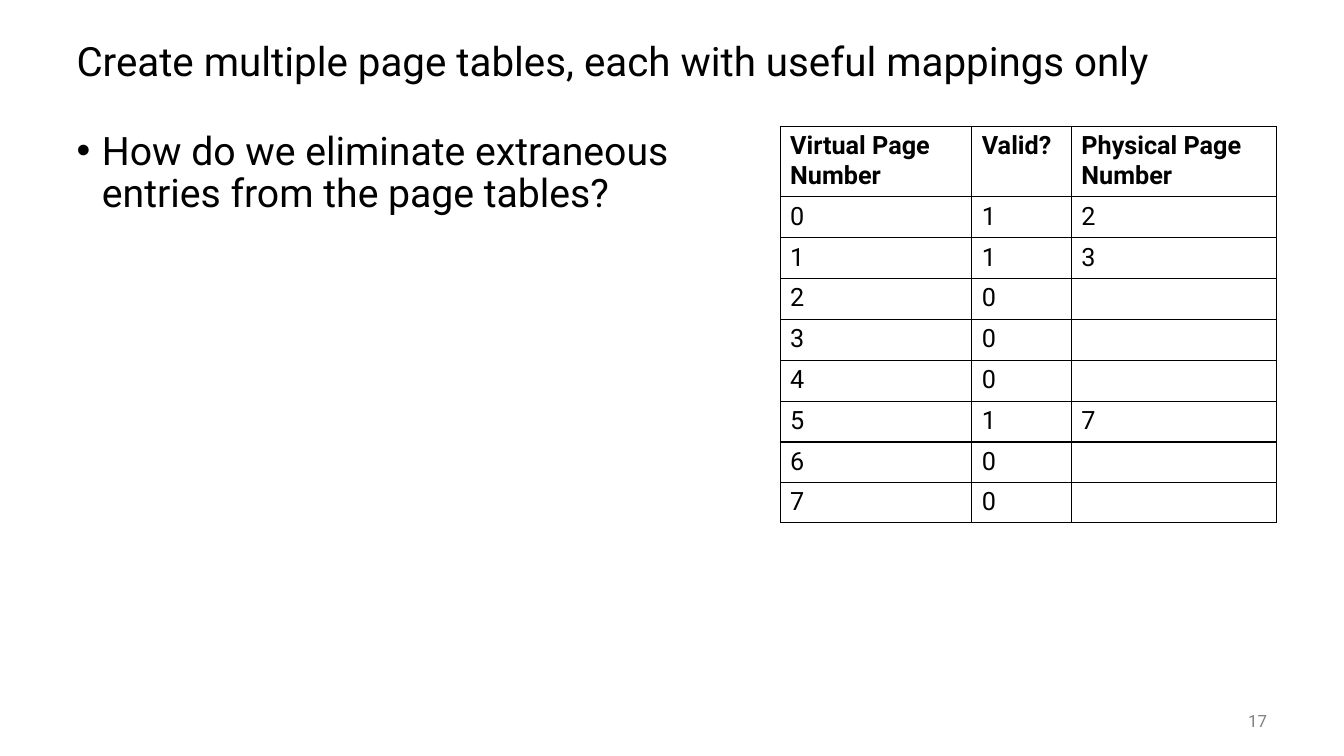
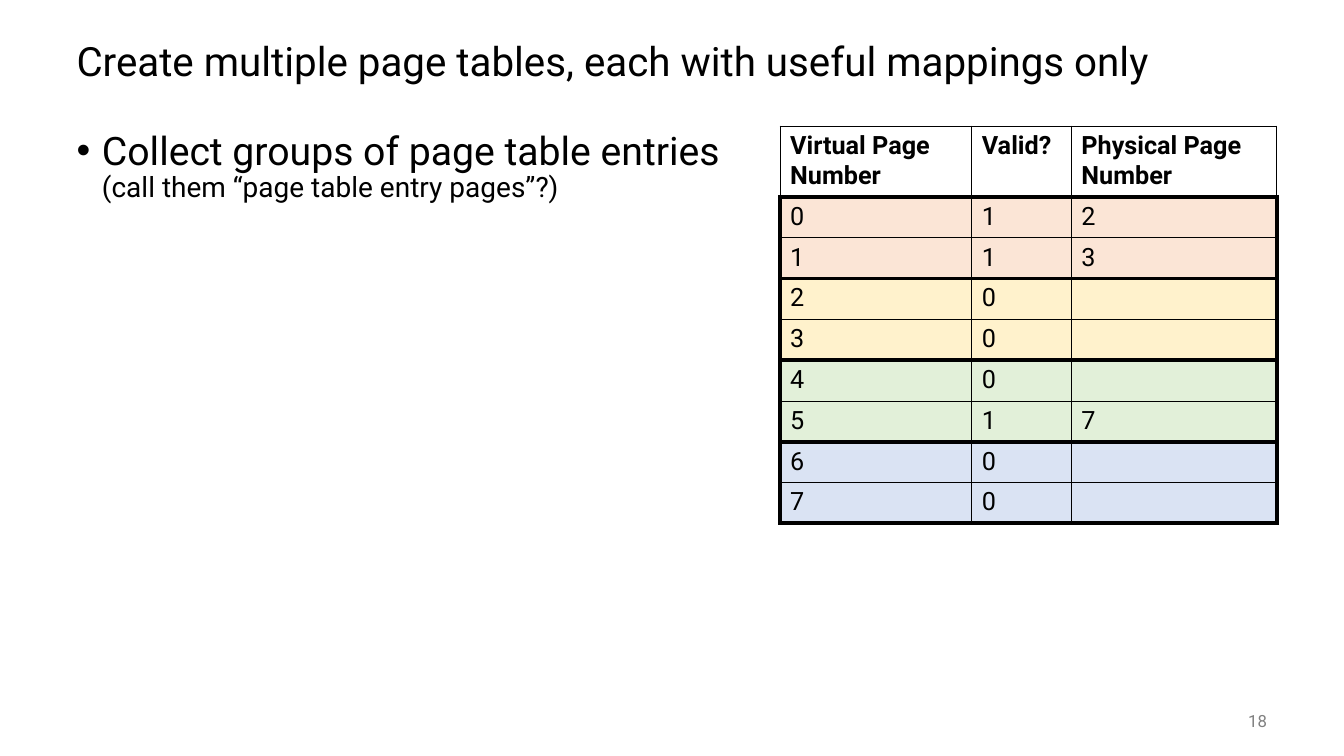
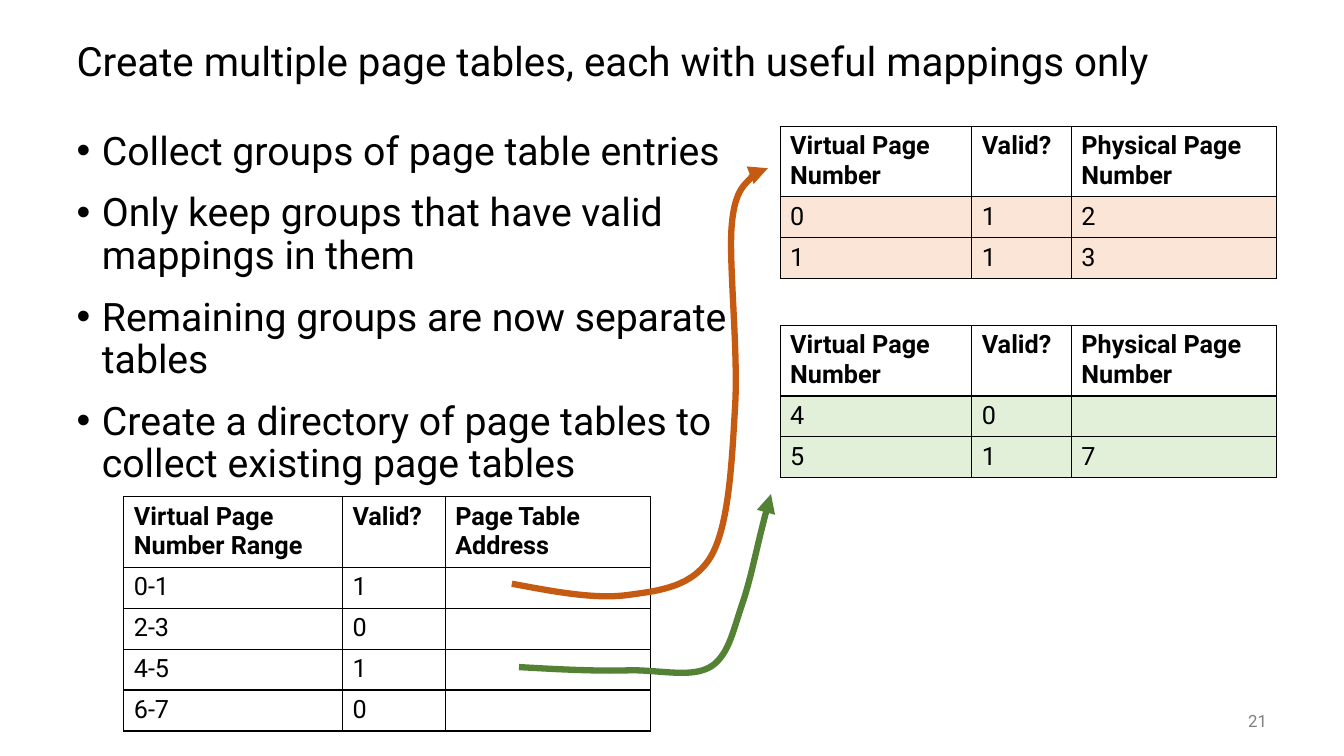
from dataclasses import dataclass

from lxml import etree
from pptx import Presentation
from pptx.dml.color import RGBColor
from pptx.enum.text import MSO_ANCHOR, PP_ALIGN
from pptx.oxml.ns import qn
from pptx.util import Cm, Pt

MIDDLE = MSO_ANCHOR.MIDDLE
TOP = MSO_ANCHOR.TOP
LEFT = PP_ALIGN.LEFT
RIGHT = PP_ALIGN.RIGHT


@dataclass(frozen=True)
class Theme:
    font: str = "Roboto"
    ink: str = "000000"
    muted: str = "808080"
    white: str = "FFFFFF"
    peach: str = "FBE5D6"
    yellow: str = "FFF2CC"
    green: str = "E2F0D9"
    blue: str = "DAE3F3"
    orange_arrow: str = "C55A11"
    green_arrow: str = "548235"
    title_size: float = 28.8
    body_size: float = 28
    note_size: float = 20
    table_size: float = 18
    number_size: float = 12
    thin: float = 1
    thick: float = 3
    arrow_width: float = 4.5


THEME = Theme()
TITLE = "Create multiple page tables, each with useful mappings only"
MARGIN, TABLE_LEFT, CONTENT_TOP = 1.68, 19.66, 3.18
BODY_WIDTH = 17.6
HEADER_HEIGHT, ROW_HEIGHT, COMPACT_HEIGHT = 1.75, 1.03, 1

PAGE_HEADER = ("Virtual Page Number", "Valid?", "Physical Page Number")
PAGE_COLUMNS = (4.83, 2.51, 5.18)
PAGE_ENTRIES = [
    ("0", "1", "2"), ("1", "1", "3"),
    ("2", "0", ""), ("3", "0", ""),
    ("4", "0", ""), ("5", "1", "7"),
    ("6", "0", ""), ("7", "0", ""),
]
GROUP_SIZE = 2
GROUP_FILLS = (THEME.peach, THEME.yellow, THEME.green, THEME.blue)

DIRECTORY_HEADER = ("Virtual Page Number Range", "Valid?", "Page Table Address")
DIRECTORY_COLUMNS = (5.51, 2.59, 5.18)
DIRECTORY_ENTRIES = [("0-1", "1", ""), ("2-3", "0", ""), ("4-5", "1", ""), ("6-7", "0", "")]

FIRST_GROUP_CURVE = [
    (12.9, 14.71),
    (13.97, 14.91), (15.01, 15.11), (15.85, 14.99),
    (16.66, 14.88), (17.48, 14.78), (17.93, 14),
    (18.36, 13.23), (18.44, 11.73), (18.52, 10.34),
    (18.62, 8.94), (18.36, 6.65), (18.44, 5.69),
    (18.52, 4.7), (18.82, 4.65), (18.97, 4.42),
    (19.13, 4.17), (18.92, 4.19), (19.35, 4.24),
]
THIRD_GROUP_CURVE = [
    (13.08, 16.81),
    (14.1, 16.87), (15.11, 16.92), (15.9, 16.89),
    (16.71, 16.89), (17.45, 17.09), (17.93, 16.79),
    (18.39, 16.48), (18.49, 15.82), (18.75, 15.09),
    (18.97, 14.38), (19.1, 13.61), (19.43, 12.45),
]


def rgb(value):
    return RGBColor.from_string(value)


def style_font(font, size, color=THEME.ink, bold=False):
    font.name = THEME.font
    font.size = Pt(size)
    font.color.rgb = rgb(color)
    font.bold = bold


def add_text_frame(slide, left, top, width, height, anchor):
    frame = slide.shapes.add_textbox(Cm(left), Cm(top), Cm(width), Cm(height)).text_frame
    frame.word_wrap = True
    frame.vertical_anchor = anchor
    return frame


def add_line(slide, box, text, size, color=THEME.ink, align=LEFT, spacing=1.0):
    paragraph = add_text_frame(slide, *box, MIDDLE).paragraphs[0]
    paragraph.text = text
    paragraph.alignment = align
    paragraph.line_spacing = spacing
    style_font(paragraph.font, size, color)


def add_page(deck, number):
    slide = deck.slides.add_slide(deck.slide_layouts[6])
    add_line(slide, (MARGIN, 0.64, 30.48, 1.9), TITLE, THEME.title_size, spacing=0.9)
    add_line(slide, (29.64, 17.65, 2.54, 1.02), str(number), THEME.number_size, THEME.muted, RIGHT)
    return slide


def set_bullet(paragraph):
    properties = paragraph._p.get_or_add_pPr()
    properties.set("marL", str(Cm(0.64)))
    properties.set("indent", str(-Cm(0.64)))
    etree.SubElement(properties, qn("a:buFont")).set("typeface", "Arial")
    etree.SubElement(properties, qn("a:buChar")).set("char", "•")


def add_bullets(slide, points, width=BODY_WIDTH, note=None):
    frame = add_text_frame(slide, MARGIN, CONTENT_TOP, width, 13.97, TOP)
    for index, point in enumerate(points):
        paragraph = frame.add_paragraph() if index else frame.paragraphs[0]
        set_bullet(paragraph)
        paragraph.text = point
        paragraph.line_spacing = 0.9
        paragraph.space_before = Pt(14 if index else 0)
        style_font(paragraph.font, THEME.body_size)
    if note:
        paragraph.add_line_break()
        aside = paragraph.add_run()
        aside.text = note
        aside.font.size = Pt(THEME.note_size)


def set_borders(cell, widths):
    properties = cell._tc.get_or_add_tcPr()
    for side in "LRTB":
        border = etree.SubElement(properties, qn(f"a:ln{side}"), w=str(Pt(widths[side])))
        solid = etree.SubElement(border, qn("a:solidFill"))
        etree.SubElement(solid, qn("a:srgbClr")).set("val", THEME.ink)


def border_widths(row, column, last_column, outlined):
    in_group = outlined and row > 0
    heavy = {
        "L": in_group and column == 0,
        "R": in_group and column == last_column,
        "T": in_group and row % GROUP_SIZE == 1,
        "B": outlined and row % GROUP_SIZE == 0,
    }
    return {side: THEME.thick if is_heavy else THEME.thin for side, is_heavy in heavy.items()}


def add_grid(slide, left, top, header, columns, entries, fills, outlined=False, compact_rows=0):
    rows = [header, *entries]
    full_rows = len(entries) - compact_rows
    heights = [HEADER_HEIGHT] + [ROW_HEIGHT] * full_rows + [COMPACT_HEIGHT] * compact_rows
    grid = slide.shapes.add_table(
        len(rows), len(columns), Cm(left), Cm(top), Cm(sum(columns)), Cm(sum(heights))
    ).table
    grid.first_row = False
    grid.horz_banding = False
    for column, width in zip(grid.columns, columns):
        column.width = Cm(width)
    for r, (values, height, fill) in enumerate(zip(rows, heights, [None, *fills])):
        grid.rows[r].height = Cm(height)
        for c, value in enumerate(values):
            cell = grid.cell(r, c)
            set_borders(cell, border_widths(r, c, len(columns) - 1, outlined))
            if fill:
                cell.fill.solid()
                cell.fill.fore_color.rgb = rgb(fill)
            else:
                cell.fill.background()
            cell.text = value
            style_font(cell.text_frame.paragraphs[0].font, THEME.table_size, bold=r == 0)


def add_page_table(slide, entries, fills, top=CONTENT_TOP, **options):
    add_grid(slide, TABLE_LEFT, top, PAGE_HEADER, PAGE_COLUMNS, entries, fills, **options)


def add_curved_arrow(slide, points, color):
    start, *controls = [(Cm(x), Cm(y)) for x, y in points]
    builder = slide.shapes.build_freeform(*start)
    builder.add_line_segments(controls, close=False)
    arrow = builder.convert_to_shape()
    arrow.shadow.inherit = False
    arrow.fill.background()
    arrow.line.color.rgb = rgb(color)
    arrow.line.width = Pt(THEME.arrow_width)
    properties = arrow._element.spPr
    etree.SubElement(properties.find(qn("a:ln")), qn("a:tailEnd")).set("type", "triangle")
    outline = next(properties.iter(qn("a:path")))
    segments = outline.findall(qn("a:lnTo"))
    for first in range(0, len(segments), 3):
        curve = etree.SubElement(outline, qn("a:cubicBezTo"))
        for segment in segments[first:first + 3]:
            curve.append(segment[0])
            outline.remove(segment)


def add_question_slide(deck):
    slide = add_page(deck, 17)
    add_bullets(slide, ["How do we eliminate extraneous entries from the page tables?"], 16.41)
    add_page_table(slide, PAGE_ENTRIES, [None] * len(PAGE_ENTRIES), compact_rows=2)


def add_groups_slide(deck):
    slide = add_page(deck, 18)
    fills = [fill for fill in GROUP_FILLS for _ in range(GROUP_SIZE)]
    add_page_table(slide, PAGE_ENTRIES, fills, outlined=True, compact_rows=2)
    add_bullets(
        slide,
        ["Collect groups of page table entries"],
        note="(call them “page table entry pages”?)",
    )


def add_directory_slide(deck):
    slide = add_page(deck, 21)
    add_bullets(slide, [
        "Collect groups of page table entries",
        "Only keep groups that have valid mappings in them",
        "Remaining groups are now separate tables",
        "Create a directory of page tables to collect existing page tables",
    ])
    add_grid(slide, 3.12, 12.52, DIRECTORY_HEADER, DIRECTORY_COLUMNS, DIRECTORY_ENTRIES,
             [THEME.white] * len(DIRECTORY_ENTRIES))
    for group, top in ((0, CONTENT_TOP), (2, 8.2)):
        first = group * GROUP_SIZE
        entries = PAGE_ENTRIES[first:first + GROUP_SIZE]
        add_page_table(slide, entries, [GROUP_FILLS[group]] * GROUP_SIZE, top)
    add_curved_arrow(slide, FIRST_GROUP_CURVE, THEME.orange_arrow)
    add_curved_arrow(slide, THIRD_GROUP_CURVE, THEME.green_arrow)


def main():
    deck = Presentation()
    deck.slide_width = Cm(33.87)
    deck.slide_height = Cm(19.05)
    add_question_slide(deck)
    add_groups_slide(deck)
    add_directory_slide(deck)
    deck.save("out.pptx")


if __name__ == "__main__":
    main()
